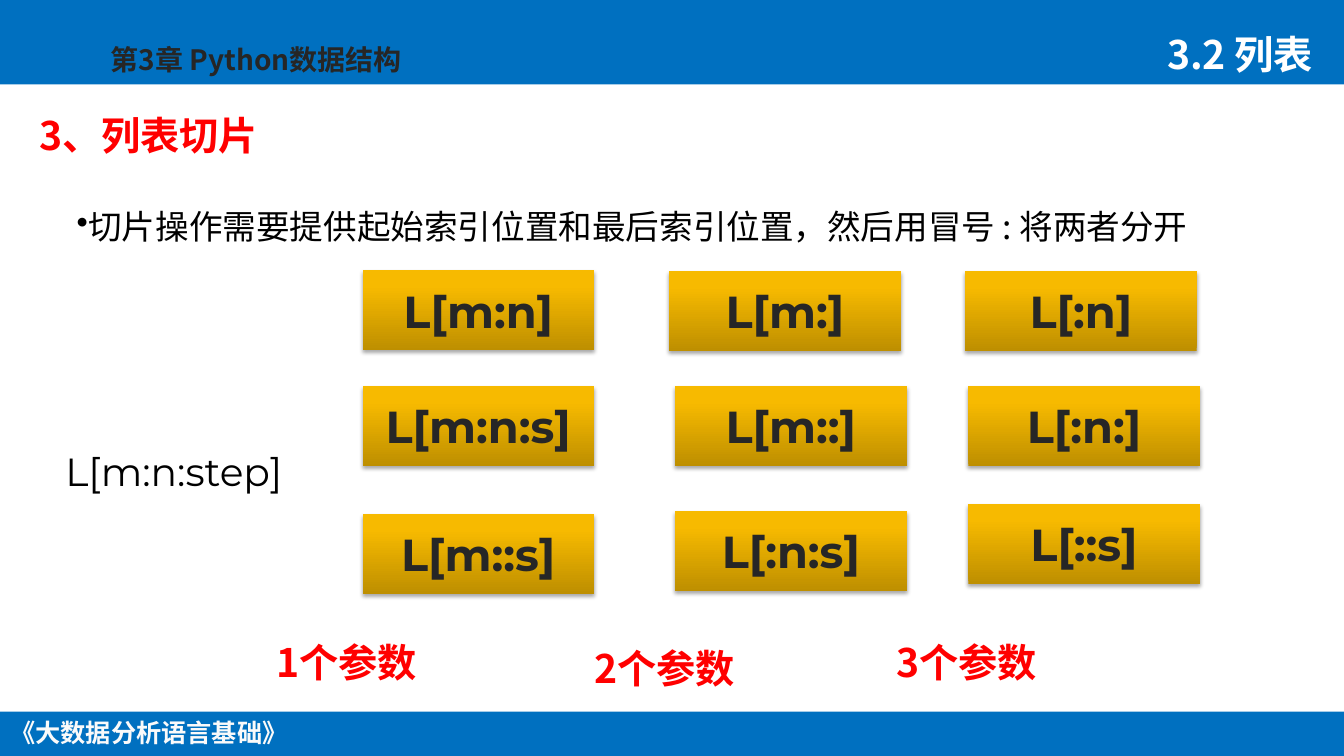
from lxml.etree import SubElement
from pptx import Presentation
from pptx.dml.color import RGBColor
from pptx.enum.shapes import MSO_SHAPE
from pptx.enum.text import MSO_ANCHOR, PP_ALIGN
from pptx.oxml import parse_xml
from pptx.oxml.ns import nsdecls, qn
from pptx.util import Cm, Pt

CHINESE_FONT = "Noto Sans CJK SC"
CODE_FONT = "Montserrat"
BLUE, RED, DARK, WHITE = "0070C0", "FF0000", "262626", "FFFFFF"
CARD_STOPS = [(0, "BE8F00"), (80, "F7BA00"), (100, "F8BB00")]
CARD_WIDTH, CARD_HEIGHT = 5.84, 2.01
SLICE_CARDS = [
    ("L[m:n]", 9.14, 6.81), ("L[m:]", 16.87, 6.83), ("L[:n]", 24.33, 6.83),
    ("L[m:n:s]", 9.14, 9.73), ("L[m::]", 17.02, 9.73), ("L[:n:]", 24.41, 9.73),
    ("L[m::s]", 9.14, 12.95), ("L[:n:s]", 17.02, 12.88), ("L[::s]", 24.41, 12.7),
]
PARAMETER_LABELS = [("1个参数", 6.71, 15.95), ("2个参数", 14.73, 16.1), ("3个参数", 22.35, 15.95)]


def color(value):
    """Turn a hex string into a colour."""
    return RGBColor.from_string(value)


def outline_text(run):
    """Give the letters of a run a thin white outline."""
    line = parse_xml(
        f'<a:ln {nsdecls("a")} w="13462"><a:solidFill><a:srgbClr val="{WHITE}"/>'
        "</a:solidFill></a:ln>")
    run.font._element.insert(0, line)


def write_text(shape, text, size, font=CHINESE_FONT, fill=DARK, bold=True, outline=False,
               align=PP_ALIGN.LEFT, anchor=MSO_ANCHOR.TOP, spacing=None, wrap=True, bullet=False):
    """Write one formatted paragraph into a shape."""
    frame = shape.text_frame
    frame.word_wrap = wrap
    frame.vertical_anchor = anchor
    paragraph = frame.paragraphs[0]
    paragraph.alignment = align
    if spacing:
        paragraph.line_spacing = spacing
    if bullet:
        properties = paragraph._p.get_or_add_pPr()
        properties.set("marL", str(Cm(0.28)))
        properties.set("indent", str(-Cm(0.28)))
        SubElement(properties, qn("a:buChar"), char="•")
    run = paragraph.add_run()
    run.text = text
    run.font.size = Pt(size)
    run.font.bold = bold
    run.font.name = font
    run.font.color.rgb = color(fill)
    SubElement(run.font._element, qn("a:ea"), typeface=font)
    if outline:
        outline_text(run)


def add_text(slide, text, left, top, width, height, size, **text_format):
    """Add a text box with one paragraph."""
    shape = slide.shapes.add_textbox(Cm(left), Cm(top), Cm(width), Cm(height))
    write_text(shape, text, size, **text_format)
    return shape


def add_rectangle(slide, left, top, width, height):
    """Add a blue rectangle without line or shadow."""
    shape = slide.shapes.add_shape(MSO_SHAPE.RECTANGLE, Cm(left), Cm(top), Cm(width), Cm(height))
    shape.shadow.inherit = False
    shape.fill.solid()
    shape.fill.fore_color.rgb = color(BLUE)
    shape.line.fill.background()
    return shape


def add_slice_card(slide, text, left, top):
    """Add a golden gradient card that shows one slice form."""
    card = add_rectangle(slide, left, top, CARD_WIDTH, CARD_HEIGHT)
    stops = "".join(f'<a:gs pos="{position * 1000}"><a:srgbClr val="{value}"/></a:gs>'
                    for position, value in CARD_STOPS)
    gradient = parse_xml(
        f'<a:gradFill {nsdecls("a")} rotWithShape="1"><a:gsLst>{stops}</a:gsLst>'
        '<a:lin ang="16200000" scaled="0"/></a:gradFill>')
    properties = card._element.spPr
    properties.replace(properties.find(qn("a:solidFill")), gradient)
    shadow = parse_xml(
        f'<a:outerShdw {nsdecls("a")} blurRad="{Pt(3.1)}" dist="{Pt(1.8)}" dir="5400000" '
        'rotWithShape="0"><a:srgbClr val="000000"><a:alpha val="35000"/></a:srgbClr></a:outerShdw>')
    properties.find(qn("a:effectLst")).append(shadow)
    write_text(card, text, 32, font=CODE_FONT, outline=True,
               align=PP_ALIGN.CENTER, anchor=MSO_ANCHOR.MIDDLE)


def main():
    """Build the slide about list slicing."""
    presentation = Presentation()
    presentation.slide_width, presentation.slide_height = Cm(33.88), Cm(19.05)
    slide = presentation.slides.add_slide(presentation.slide_layouts[6])

    add_rectangle(slide, 0, 0, 33.88, 2.13)
    add_rectangle(slide, 0, 17.93, 33.88, 1.12)
    add_text(slide, "《大数据分析语言基础》", -0.03, 17.96, 7.57, 1.02, 18,
             fill="FAFAFA", align=PP_ALIGN.CENTER, wrap=False)
    add_text(slide, "第3章 Python数据结构", 2.54, 0.94, 9.6, 1.12, 20, outline=True)

    body = add_text(slide, "切片操作需要提供起始索引位置和最后索引位置，然后用冒号 : 将两者分开",
                    1.68, 4.72, 32.2, 11.3, 24, fill="000000", bold=False, bullet=True)
    body.text_frame.margin_top = Cm(0.48)
    add_text(slide, "3、列表切片", 0.74, 2.92, 21.23, 1.22, 28,
             fill=RED, anchor=MSO_ANCHOR.BOTTOM, spacing=0.9)
    add_text(slide, "3.2 列表", 28.37, 0.2, 4.98, 1.88, 28, fill=WHITE,
             align=PP_ALIGN.RIGHT, anchor=MSO_ANCHOR.BOTTOM, spacing=0.9)

    add_text(slide, "L[m:n:step]", 1.4, 11.15, 6.65, 1.45, 28,
             font=CODE_FONT, fill="000000", bold=False, wrap=False)
    for text, left, top in SLICE_CARDS:
        add_slice_card(slide, text, left, top)
    for text, left, top in PARAMETER_LABELS:
        add_text(slide, text, left, top, 4.8, 1.45, 28, fill=RED)

    presentation.save("out.pptx")


if __name__ == "__main__":
    main()
